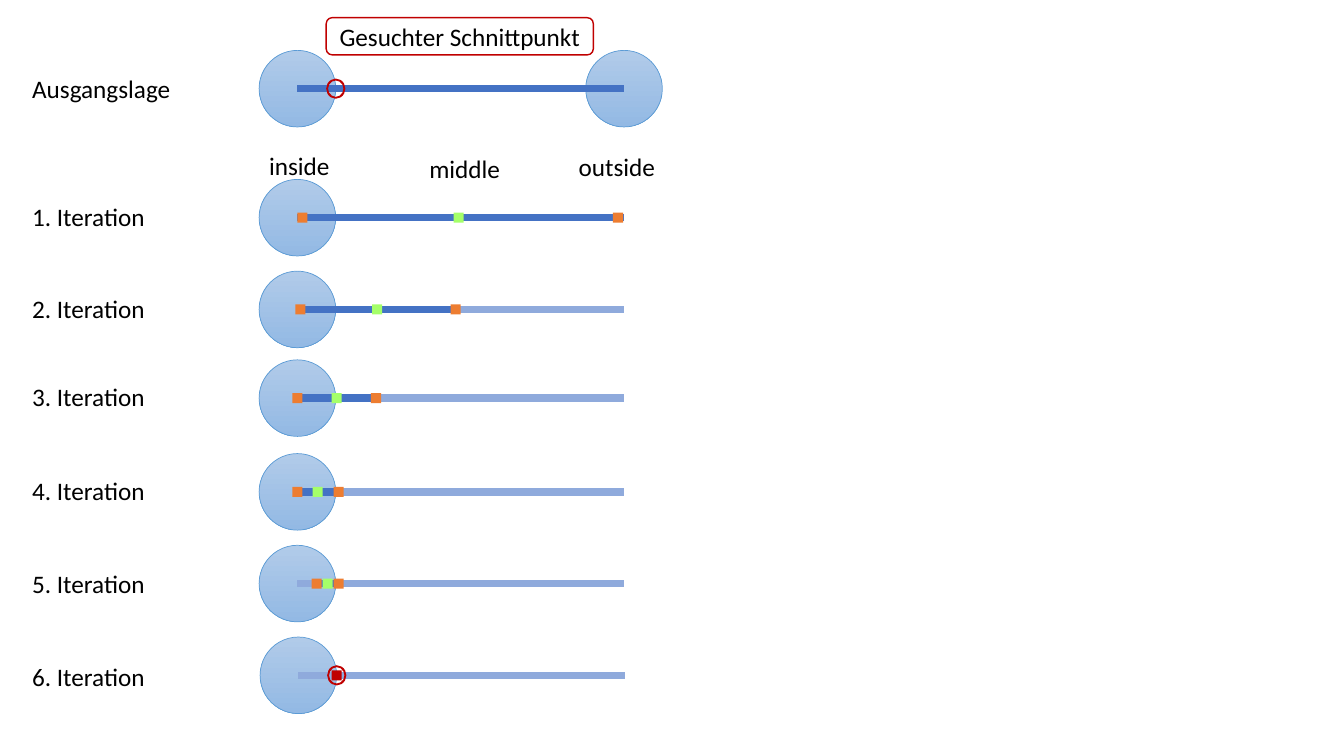
from lxml import etree
from pptx import Presentation
from pptx.dml.color import RGBColor
from pptx.enum.shapes import MSO_CONNECTOR, MSO_SHAPE
from pptx.enum.text import MSO_ANCHOR, MSO_AUTO_SIZE, PP_ALIGN
from pptx.oxml.ns import qn
from pptx.util import Inches, Pt

OVAL, DONUT = MSO_SHAPE.OVAL, MSO_SHAPE.DONUT
RECT, ROUNDED = MSO_SHAPE.RECTANGLE, MSO_SHAPE.ROUNDED_RECTANGLE
STRAIGHT = MSO_CONNECTOR.STRAIGHT
MIDDLE, CENTER = MSO_ANCHOR.MIDDLE, PP_ALIGN.CENTER
GROW = MSO_AUTO_SIZE.SHAPE_TO_FIT_TEXT

COLORS = {
    "text": "000000",
    "circle_top": "B1CBE9",
    "circle_bottom": "93B9E4",
    "circle_edge": "5B9BD5",
    "active": "4472C4",
    "inactive": "8FAADC",
    "bound": "ED7D31",
    "middle": "A5FF69",
    "hit": "C00000",
}
TEXT_FORMAT = {"name": "Calibri", "size": Pt(18)}
DIAMETER, MARKER = 0.76, 0.1
START, END = 2.95, 6.19
LABEL_X = 0.22

ITERATIONS = [
    {"y": 2.16, "label_y": 1.95, "active": (2.95, 6.19), "bounds": (3.0, 6.13), "middle": 4.55},
    {"y": 3.07, "label_y": 2.86, "active": (2.95, 4.52), "bounds": (2.98, 4.52), "middle": 3.74},
    {"y": 3.95, "label_y": 3.73, "active": (2.96, 3.74), "bounds": (2.95, 3.73), "middle": 3.34},
    {"y": 4.88, "label_y": 4.67, "active": (2.96, 3.33), "bounds": (2.95, 3.36), "middle": 3.15},
    {"y": 5.79, "label_y": 5.59, "active": (3.1, 3.33), "bounds": (3.14, 3.36), "middle": 3.25},
]
HEADINGS = [("inside", 2.57, 1.44), ("middle", 4.16, 1.47), ("outside", 5.64, 1.45)]


def rgb(name):
    return RGBColor.from_string(COLORS[name])


def write(tf, text):
    p = tf.paragraphs[0]
    r = p.add_run()
    r.text = text
    for key, value in TEXT_FORMAT.items():
        setattr(r.font, key, value)
    r.font.color.rgb = rgb("text")
    return p


def add_label(s, text, x, y, w, wrap=False):
    tf = s.shapes.add_textbox(Inches(x), Inches(y), Inches(w), Inches(0.4)).text_frame
    tf.word_wrap = wrap
    tf.auto_size = GROW
    write(tf, text)


def add_centered(s, kind, x, y, w, h):
    sp = s.shapes.add_shape(kind, Inches(x - w / 2), Inches(y - h / 2), Inches(w), Inches(h))
    sp.shadow.inherit = False
    return sp


def add_circle(s, x, y):
    sp = add_centered(s, OVAL, x, y, DIAMETER, DIAMETER)
    sp.fill.gradient()
    sp.fill.gradient_angle = 270
    for stop, name in zip(sp.fill.gradient_stops, ("circle_top", "circle_bottom")):
        stop.color.rgb = rgb(name)
    sp.line.color.rgb = rgb("circle_edge")
    sp.line.width = Pt(0.5)


def add_solid(s, kind, x, y, w, h, color):
    sp = add_centered(s, kind, x, y, w, h)
    sp.fill.solid()
    sp.fill.fore_color.rgb = rgb(color)
    sp.line.fill.background()
    return sp


def add_marker(s, x, y, color):
    add_solid(s, RECT, x, y, MARKER, MARKER, color)


def add_ring(s, x, y):
    add_solid(s, DONUT, x, y, 0.19, 0.2, "hit").adjustments[0] = 0.1


def add_segment(s, x1, x2, y, color):
    line = s.shapes.add_connector(STRAIGHT, Inches(x1), Inches(y), Inches(x2), Inches(y))
    line.line.color.rgb = rgb(color)
    line.line.width = Pt(5.25)
    etree.SubElement(line._element.spPr, qn("a:effectLst"))


def add_callout(s, text):
    sp = add_centered(s, ROUNDED, 4.56, 0.36, 2.65, 0.37)
    sp.fill.background()
    sp.line.color.rgb = rgb("hit")
    sp.line.width = Pt(1)
    tf = sp.text_frame
    tf.word_wrap = True
    tf.vertical_anchor = MIDDLE
    write(tf, text).alignment = CENTER


def add_start(s):
    y = 0.88
    add_circle(s, START, y)
    add_circle(s, END, y)
    add_segment(s, START, END, y, "active")
    add_label(s, "Ausgangslage", LABEL_X, 0.68, 1.59)
    add_ring(s, 3.33, y)
    add_callout(s, "Gesuchter Schnittpunkt")


def add_iteration(s, number, row):
    y = row["y"]
    add_circle(s, START, y)
    add_segment(s, START, END, y, "inactive")
    add_segment(s, *row["active"], y, "active")
    for x in row["bounds"]:
        add_marker(s, x, y, "bound")
    add_marker(s, row["middle"], y, "middle")
    add_label(s, f"{number}. Iteration", LABEL_X, row["label_y"], 1.33)


def add_result(s, number):
    y = 6.7
    add_circle(s, START + 0.01, y)
    add_segment(s, START + 0.01, END + 0.01, y, "inactive")
    add_marker(s, 3.34, y, "hit")
    add_ring(s, 3.34, y)
    add_label(s, f"{number}. Iteration", LABEL_X, 6.51, 1.33)


def main():
    prs = Presentation()
    prs.slide_width, prs.slide_height = Inches(13.33), Inches(7.5)
    s = prs.slides.add_slide(prs.slide_layouts[6])
    add_start(s)
    for number, row in enumerate(ITERATIONS, 1):
        add_iteration(s, number, row)
    add_result(s, len(ITERATIONS) + 1)
    for text, x, y in HEADINGS:
        add_label(s, text, x, y, 1.09, wrap=True)
    prs.save("out.pptx")


if __name__ == "__main__":
    main()
